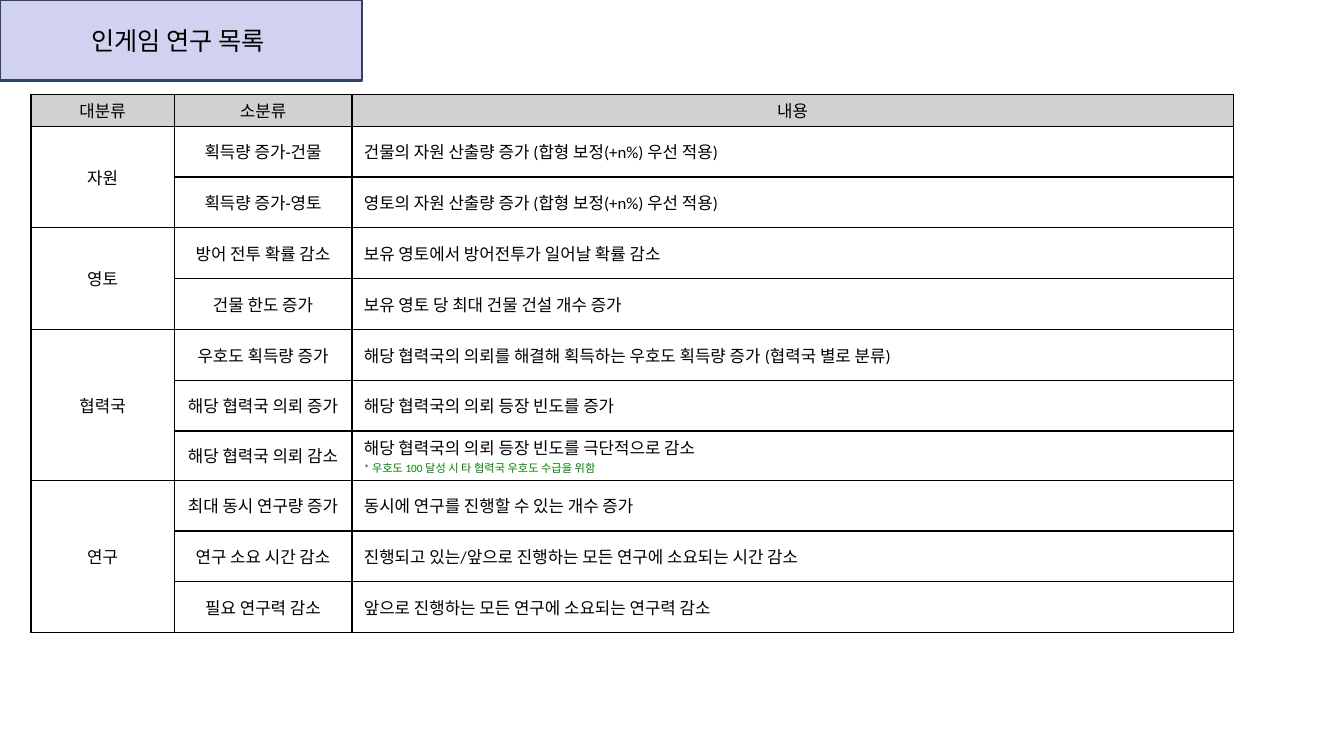
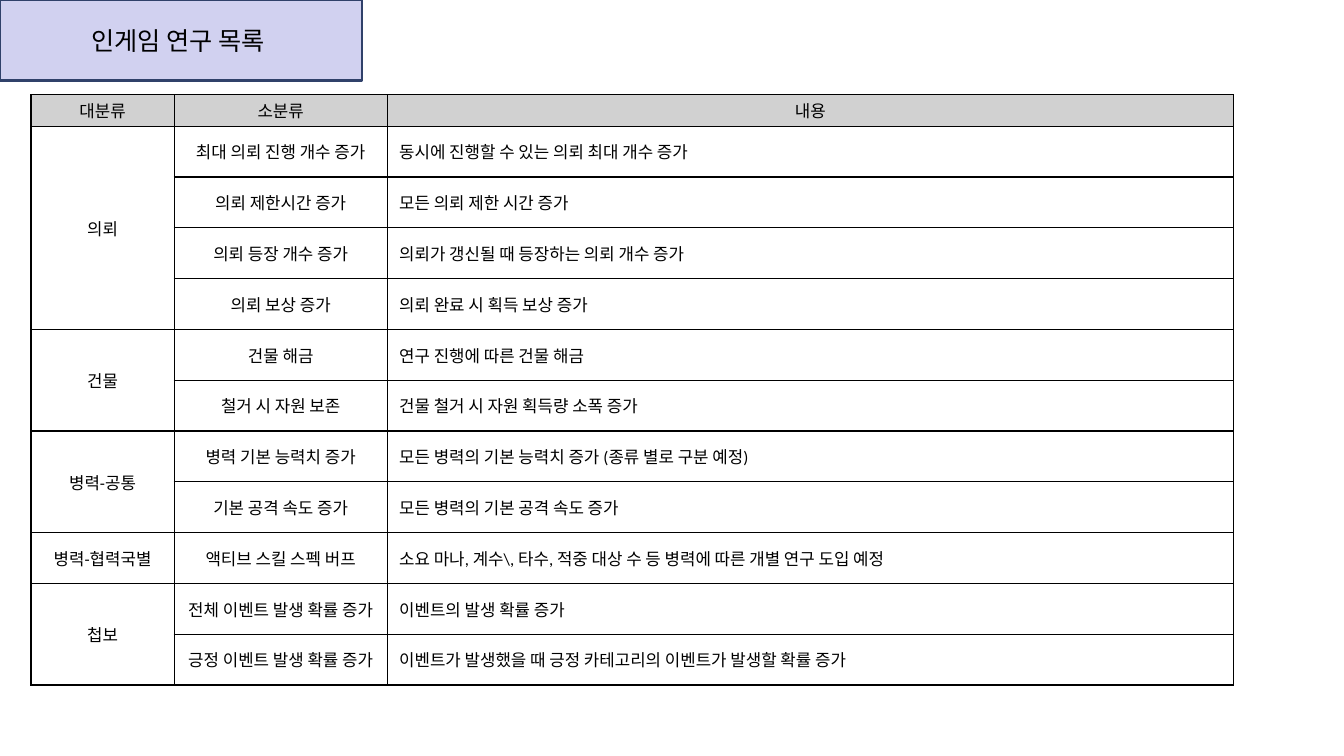
"""Build the two in-game research list slides."""
from lxml import etree
from pptx import Presentation
from pptx import util as u
from pptx.dml.color import RGBColor
from pptx.enum import text
from pptx.oxml.ns import qn

BLACK = RGBColor(0x00, 0x00, 0x00)
GREEN = RGBColor(0x00, 0x80, 0x00)
GREY = RGBColor(0xD1, 0xD1, 0xD1)
LAVENDER = RGBColor(0xD1, 0xD1, 0xF0)
NAVY = RGBColor(0x30, 0x41, 0x6A)

FONT = "Calibri"
TITLE = "인게임 연구 목록 "
TITLE_BOX = dict(left=u.Cm(0), top=u.Cm(0), width=u.Cm(9.12), height=u.Cm(2.03))
TITLE_FRAME = dict(word_wrap=True, auto_size=text.MSO_AUTO_SIZE.NONE,
                   vertical_anchor=text.MSO_ANCHOR.MIDDLE)
TITLE_FONT = dict(name=FONT, size=u.Pt(18), bold=False)
CELL_FONT = dict(name=FONT, size=u.Pt(12), bold=False)
NOTE_FONT = dict(CELL_FONT, size=u.Pt(8))
CELL = dict(vertical_anchor=text.MSO_ANCHOR.MIDDLE, margin_left=0,
            margin_right=0, margin_top=0, margin_bottom=0)
CONTENT_CELL = dict(CELL, margin_left=u.Cm(0.3))

TABLE_LEFT, TABLE_TOP, TABLE_WIDTH = 0.78, 2.39, 30.3
GROUP_WIDTH = 3.61
HEADER_HEIGHT, ROW_HEIGHT, NOTE_ROW_HEIGHT = 0.79, 1.28, 1.24
HEADER = ("대분류", "소분류", "내용")

RESOURCE_GROUPS = {
    "자원": [
        ("획득량 증가-건물", "건물의 자원 산출량 증가 (합형 보정(+n%) 우선 적용)"),
        ("획득량 증가-영토", "영토의 자원 산출량 증가 (합형 보정(+n%) 우선 적용)"),
    ],
    "영토": [
        ("방어 전투 확률 감소", "보유 영토에서 방어전투가 일어날 확률 감소"),
        ("건물 한도 증가", "보유 영토 당 최대 건물 건설 개수 증가"),
    ],
    "협력국": [
        ("우호도 획득량 증가",
         "해당 협력국의 의뢰를 해결해 획득하는 우호도 획득량 증가 (협력국 별로 분류)"),
        ("해당 협력국 의뢰 증가", "해당 협력국의 의뢰 등장 빈도를 증가"),
        ("해당 협력국 의뢰 감소", "해당 협력국의 의뢰 등장 빈도를 극단적으로 감소",
         "* 우호도 100 달성 시 타 협력국 우호도 수급을 위함"),
    ],
    "연구": [
        ("최대 동시 연구량 증가", "동시에 연구를 진행할 수 있는 개수 증가"),
        ("연구 소요 시간 감소", "진행되고 있는/앞으로 진행하는 모든 연구에 소요되는 시간 감소"),
        ("필요 연구력 감소", "앞으로 진행하는 모든 연구에 소요되는 연구력 감소"),
    ],
}
REQUEST_GROUPS = {
    "의뢰": [
        ("최대 의뢰 진행 개수 증가", "동시에 진행할 수 있는 의뢰 최대 개수 증가"),
        ("의뢰 제한시간 증가", "모든 의뢰 제한 시간 증가"),
        ("의뢰 등장 개수 증가", "의뢰가 갱신될 때 등장하는 의뢰 개수 증가"),
        ("의뢰 보상 증가", "의뢰 완료 시 획득 보상 증가"),
    ],
    "건물": [
        ("건물 해금", "연구 진행에 따른 건물 해금"),
        ("철거 시 자원 보존", "건물 철거 시 자원 획득량 소폭 증가"),
    ],
    "병력-공통": [
        ("병력 기본 능력치 증가", "모든 병력의 기본 능력치 증가 (종류 별로 구분 예정)"),
        ("기본 공격 속도 증가", "모든 병력의 기본 공격 속도 증가"),
    ],
    "병력-협력국별": [
        ("액티브 스킬 스펙 버프",
         "소요 마나, 계수\\, 타수, 적중 대상 수 등 병력에 따른 개별 연구 도입 예정"),
    ],
    "첩보": [
        ("전체 이벤트 발생 확률 증가", "이벤트의 발생 확률 증가"),
        ("긍정 이벤트 발생 확률 증가",
         "이벤트가 발생했을 때 긍정 카테고리의 이벤트가 발생할 확률 증가"),
    ],
}


def apply(obj, values):
    """Set every attribute in values on obj."""
    for name, value in values.items():
        setattr(obj, name, value)


def write(p, words, font, color=BLACK, align=text.PP_ALIGN.CENTER):
    """Put one formatted run in a paragraph."""
    p.alignment = align
    r = p.add_run()
    r.text = words
    apply(r.font, font)
    r.font.color.rgb = color


def add_title(s):
    """Turn the title placeholder into the corner band."""
    sp = s.shapes.title
    apply(sp, TITLE_BOX)
    sp.fill.solid()
    sp.fill.fore_color.rgb = LAVENDER
    sp.line.color.rgb = NAVY
    sp.line.width = u.Pt(1.5)
    tf = sp.text_frame
    apply(tf, TITLE_FRAME)
    write(tf.paragraphs[0], TITLE, TITLE_FONT)


def add_borders(cell):
    """Draw a thin black line on all four sides of a cell."""
    tc_pr = cell._tc.get_or_add_tcPr()
    for side in ("lnL", "lnR", "lnT", "lnB"):
        ln = etree.SubElement(tc_pr, qn(f"a:{side}"), w=str(u.Pt(1)))
        fill = etree.SubElement(ln, qn("a:solidFill"))
        etree.SubElement(fill, qn("a:srgbClr"), val=str(BLACK))


def format_cell(cell, is_header, is_content):
    """Give a cell its margins, borders and fill."""
    apply(cell, CONTENT_CELL if is_content else CELL)
    add_borders(cell)
    if is_header:
        cell.fill.solid()
        cell.fill.fore_color.rgb = GREY
    else:
        cell.fill.background()


def fill_row(table, row, item):
    """Write one research item with its optional note."""
    name, content, *notes = item
    write(table.cell(row, 1).text_frame.paragraphs[0], name, CELL_FONT)
    tf = table.cell(row, 2).text_frame
    write(tf.paragraphs[0], content, CELL_FONT, align=text.PP_ALIGN.LEFT)
    for note in notes:
        write(tf.add_paragraph(), note, NOTE_FONT, GREEN, text.PP_ALIGN.LEFT)


def add_research_table(s, groups, item_width):
    """Add the table, merging the first column over each group."""
    items = [item for group in groups.values() for item in group]
    heights = [HEADER_HEIGHT] + [NOTE_ROW_HEIGHT if len(item) > 2 else ROW_HEIGHT
                                 for item in items]
    widths = (GROUP_WIDTH, item_width, TABLE_WIDTH - GROUP_WIDTH - item_width)
    table = s.shapes.add_table(
        len(heights), len(widths), u.Cm(TABLE_LEFT), u.Cm(TABLE_TOP),
        u.Cm(TABLE_WIDTH), u.Cm(sum(heights))).table
    apply(table, dict(first_row=False, horz_banding=False))
    for column, width in zip(table.columns, widths):
        column.width = u.Cm(width)
    for i, height in enumerate(heights):
        table.rows[i].height = u.Cm(height)
        for j in range(len(widths)):
            format_cell(table.cell(i, j), i == 0, i > 0 and j == 2)

    for j, heading in enumerate(HEADER):
        write(table.cell(0, j).text_frame.paragraphs[0], heading, CELL_FONT)
    for i, item in enumerate(items, 1):
        fill_row(table, i, item)
    first = 1
    for name, group in groups.items():
        cell = table.cell(first, 0)
        if len(group) > 1:
            cell.merge(table.cell(first + len(group) - 1, 0))
        write(cell.text_frame.paragraphs[0], name, CELL_FONT)
        first += len(group)


def main():
    """Build and save the presentation."""
    prs = Presentation()
    apply(prs, dict(slide_width=u.Cm(33.87), slide_height=u.Cm(19.05)))
    for groups, item_width in ((RESOURCE_GROUPS, 4.48), (REQUEST_GROUPS, 5.37)):
        s = prs.slides.add_slide(prs.slide_layouts.get_by_name("Title Only"))
        add_title(s)
        add_research_table(s, groups, item_width)
    prs.save("out.pptx")


if __name__ == "__main__":
    main()
